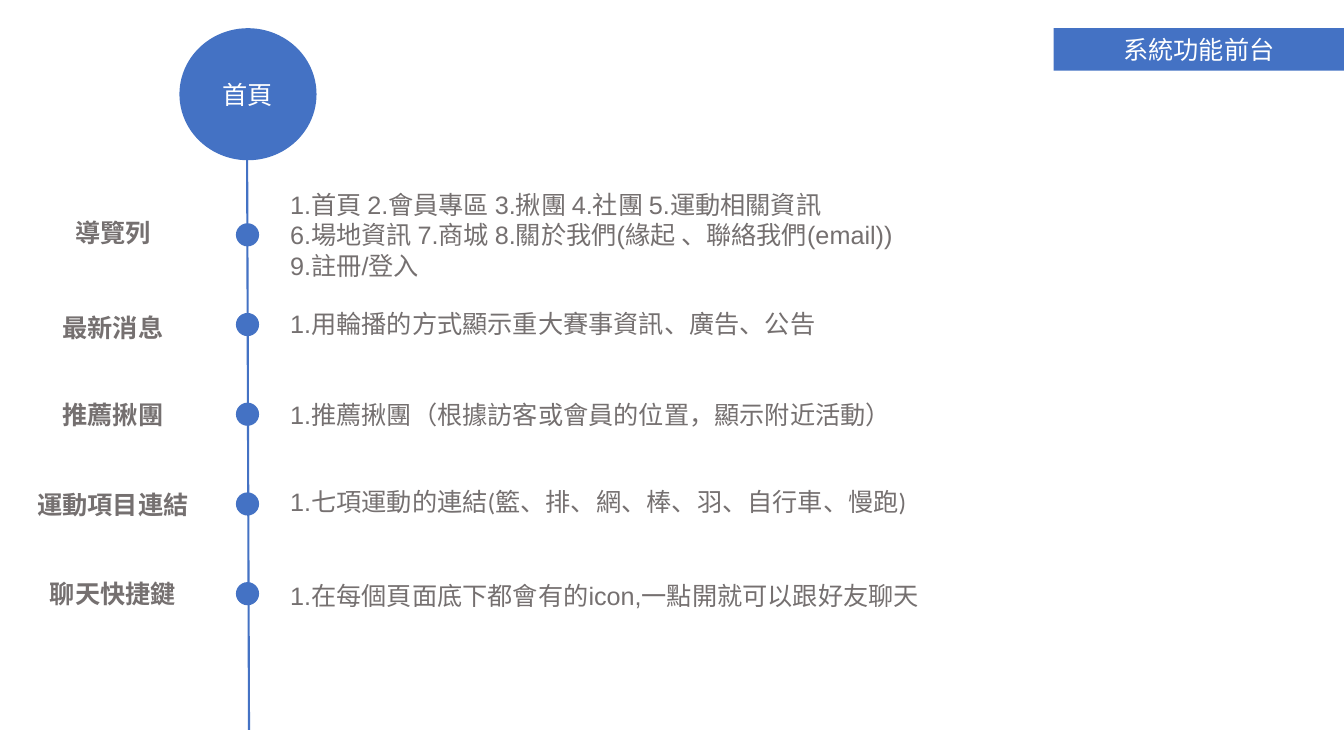
from pptx import Presentation
from pptx.dml.color import RGBColor
from pptx.enum.shapes import MSO_CONNECTOR, MSO_SHAPE
from pptx.enum.text import MSO_ANCHOR as Anchor, PP_ALIGN as Align
from pptx.oxml.ns import qn
from pptx.oxml.xmlchemy import OxmlElement
from pptx.util import Inches, Pt

COLORS = {"blue": "4472C4", "gray": "757070", "white": "FFFFFF"}
FONT = "Arial"
ROW_PITCH = 0.89
DOT_SIZE = 0.23

# Label, label centre shift, detail top, detail width, detail paragraphs.
# Each paragraph is a list of (text, font) runs.
ROWS = [
    ("導覽列", -0.02, 1.83, 7.15, [
        [("1.首頁 2.會員專區 3.揪團 4.社團 5.運動相關資訊", FONT)],
        [("6.場地資訊 7.商城 8.關於我們(緣起 、聯絡我們(email))", FONT)],
        [("9.註冊/登入", FONT)]]),
    ("最新消息", 0.03, 3.01, 7.15, [
        [("1.用輪播的方式顯示重大賽事資訊、廣告、公告", FONT)]]),
    ("推薦揪團", 0, 3.91, 7.15, [
        [("1.推薦揪團（根據訪客或會員的位置，顯示附近活動）", FONT)]]),
    ("運動項目連結", 0, 4.78, 7.15, [
        [("1.七項運動的連結", FONT),
         ("(籃、排、網、棒、羽、自行車、慢跑)", "Calibri")]]),
    ("聊天快捷鍵", 0, 5.71, 6.52, [
        [("1.在每個頁面底下都會有的icon,一點開就可以跟好友聊天", FONT)]]),
]


def color(name):
    return RGBColor.from_string(COLORS[name])


def style_run(run, color_name, bold=False, font_name=FONT):
    run.font.name = font_name
    run.font.size = Pt(18)
    run.font.bold = bold
    run.font.color.rgb = color(color_name)


def add_blue_shape(slide, kind, left, top, width, height, text=""):
    shape = slide.shapes.add_shape(
        kind, Inches(left), Inches(top), Inches(width), Inches(height))
    shape.shadow.inherit = False
    shape.fill.solid()
    shape.fill.fore_color.rgb = color("blue")
    shape.line.fill.background()
    if text:
        frame = shape.text_frame
        frame.text = text
        frame.vertical_anchor = Anchor.MIDDLE
        frame.paragraphs[0].alignment = Align.CENTER
        style_run(frame.paragraphs[0].runs[0], "white")


def add_text_box(slide, left, top, width, height):
    box = slide.shapes.add_textbox(
        Inches(left), Inches(top), Inches(width), Inches(height))
    box.text_frame.word_wrap = True
    return box.text_frame


def add_axis(slide, start_x, start_y, end_x, end_y):
    axis = slide.shapes.add_connector(
        MSO_CONNECTOR.STRAIGHT, Inches(start_x), Inches(start_y),
        Inches(end_x), Inches(end_y))
    axis.line.color.rgb = color("blue")
    axis.line.width = Pt(1.5)
    axis.element.find(qn("p:spPr")).append(OxmlElement("a:effectLst"))


def add_label(slide, text, center_x, center_y, width=1.76, height=0.54):
    frame = add_text_box(
        slide, center_x - width / 2, center_y - height / 2, width, height)
    frame.text = text
    frame.vertical_anchor = Anchor.MIDDLE
    frame.paragraphs[0].alignment = Align.CENTER
    style_run(frame.paragraphs[0].runs[0], "gray", bold=True)


def add_detail(slide, paragraphs, left, top, width):
    frame = add_text_box(slide, left, top, width, 0.1 + 0.3 * len(paragraphs))
    for index, runs in enumerate(paragraphs):
        paragraph = frame.add_paragraph() if index else frame.paragraphs[0]
        for text, font_name in runs:
            run = paragraph.add_run()
            run.text = text
            style_run(run, "gray", font_name=font_name)


def add_timeline(slide, left, top):
    """Place the axis, home circle and feature rows from the given corner."""
    add_axis(slide, left + 2.21, top + 1, left + 2.23, top + 6.96)
    add_blue_shape(
        slide, MSO_SHAPE.OVAL, left + 1.54, top, 1.36, 1.31, "首頁")
    for index, (label, shift, detail_top, width, paragraphs) in enumerate(ROWS):
        center_y = top + 2.05 + index * ROW_PITCH
        add_blue_shape(slide, MSO_SHAPE.OVAL, left + 2.1,
                       center_y - DOT_SIZE / 2, DOT_SIZE, DOT_SIZE)
        add_label(slide, label, left + 0.88, center_y + shift)
        add_detail(slide, paragraphs, left + 2.54, detail_top, width)


def main():
    presentation = Presentation()
    presentation.slide_width = Inches(13.33)
    presentation.slide_height = Inches(7.5)
    slide = presentation.slides.add_slide(presentation.slide_layouts[6])

    # Timeline of home page features
    add_timeline(slide, 0.24, 0.28)
    # Section banner at the right edge
    add_blue_shape(
        slide, MSO_SHAPE.RECTANGLE, 10.45, 0.28, 2.88, 0.42, "系統功能前台")

    presentation.save("out.pptx")


if __name__ == "__main__":
    main()
